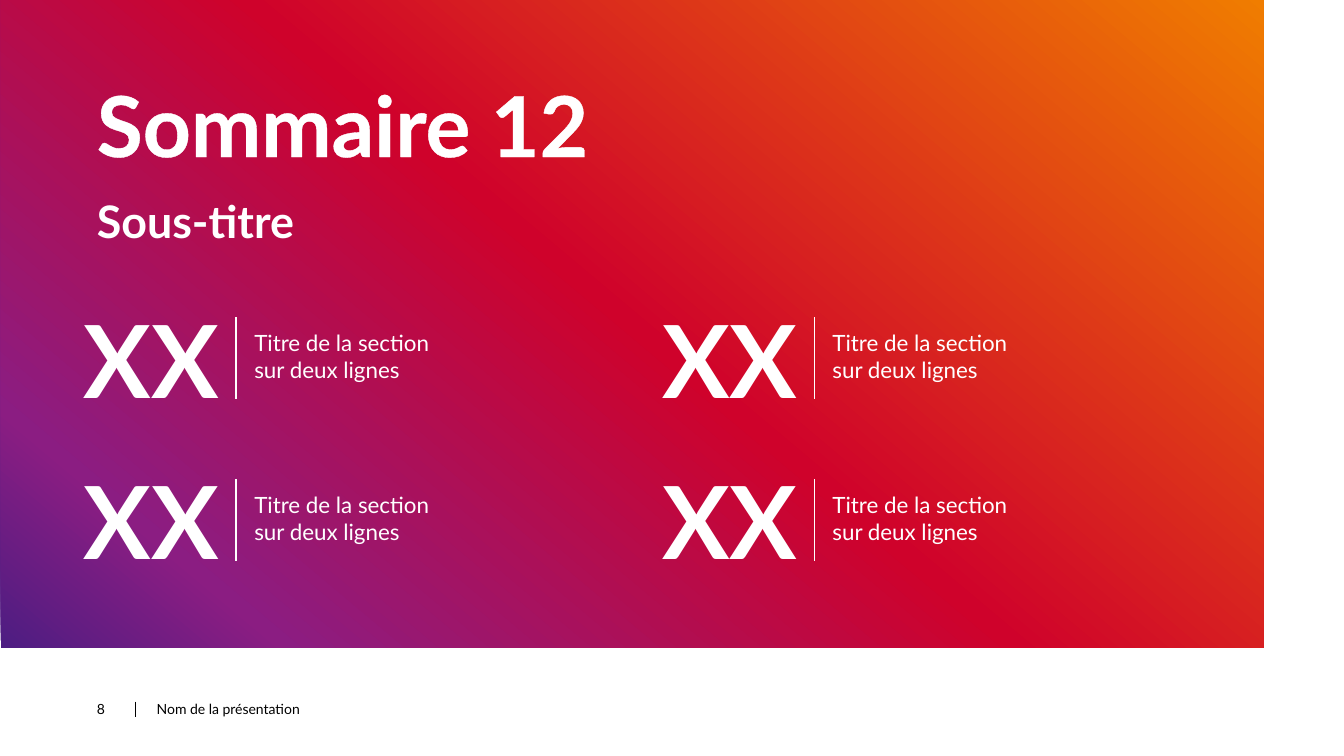
from lxml import etree
from pptx import Presentation
from pptx import util as u
from pptx.dml.color import RGBColor
from pptx.enum import shapes, text
from pptx.oxml.ns import qn

WHITE = RGBColor(0xFF, 0xFF, 0xFF)
BLACK = RGBColor(0x00, 0x00, 0x00)
INDIGO = RGBColor(0x4D, 0x1D, 0x82)
PURPLE = RGBColor(0x8B, 0x1D, 0x82)
RED = RGBColor(0xCF, 0x02, 0x2B)
ORANGE = RGBColor(0xF0, 0x7D, 0x00)


class AgendaSlide:
    font = "Lato"

    def __init__(self, slide):
        self.shapes = slide.shapes

    def gradient_panel(self, left, top, width, height, rotation, angle, stops):
        panel = self.shapes.add_shape(
            shapes.MSO_SHAPE.RECTANGLE,
            u.Cm(left), u.Cm(top), u.Cm(width), u.Cm(height))
        panel.rotation = rotation
        panel.shadow.inherit = False
        panel.line.fill.background()
        panel.fill.gradient()
        panel.fill.gradient_angle = angle
        stop_list = panel._element.spPr.find(".//" + qn("a:gsLst"))
        for old_stop in list(stop_list):
            stop_list.remove(old_stop)
        for percent, color in stops:
            stop = etree.SubElement(stop_list, qn("a:gs"), pos=str(percent * 1000))
            etree.SubElement(stop, qn("a:srgbClr"), val=str(color))

    def label(self, left, top, width, height, words, size, color=WHITE,
              bold=False, align=text.PP_ALIGN.LEFT, anchor=text.MSO_ANCHOR.TOP,
              after=0, spacing=None, outline=None):
        box = self.shapes.add_textbox(
            u.Cm(left), u.Cm(top), u.Cm(width), u.Cm(height))
        frame = box.text_frame
        frame.word_wrap = True
        frame.auto_size = text.MSO_AUTO_SIZE.SHAPE_TO_FIT_TEXT
        frame.vertical_anchor = anchor
        frame.margin_left = frame.margin_right = 0
        frame.margin_top = frame.margin_bottom = 0
        paragraph = frame.paragraphs[0]
        paragraph.text = words
        paragraph.alignment = align
        paragraph.space_after = u.Pt(after)
        paragraph.line_spacing = spacing
        for run in paragraph.runs:
            run.font.name = self.font
            run.font.size = u.Pt(size)
            run.font.bold = bold
            run.font.color.rgb = color
            if outline:
                stroke = etree.Element(qn("a:ln"), w=str(u.Pt(outline)))
                fill = etree.SubElement(stroke, qn("a:solidFill"))
                etree.SubElement(fill, qn("a:srgbClr"), val=str(color))
                run.font._element.insert(0, stroke)

    def divider(self, left, top, length, color, weight):
        rule = self.shapes.add_connector(
            shapes.MSO_CONNECTOR.STRAIGHT,
            u.Cm(left), u.Cm(top), u.Cm(left), u.Cm(top + length))
        rule.line.color.rgb = color
        rule.line.width = u.Pt(weight)
        etree.SubElement(rule._element.spPr, qn("a:effectLst"))

    def section(self, left, top, number, title):
        self.label(left, top, 3.56, 3.07, number, 72, bold=True,
                   align=text.PP_ALIGN.RIGHT, after=5)
        self.divider(left + 3.99, top + 0.5, 2.07, WHITE, 1)
        self.label(left + 4.45, top + 0.81, 7.47, 1.55, title, 16, after=5)


def main():
    deck = Presentation()
    deck.slide_width, deck.slide_height = u.Cm(33.87), u.Cm(19.05)
    agenda = AgendaSlide(deck.slides.add_slide(deck.slide_layouts[6]))

    # Background panel, turned a quarter so the colours rise to the right
    agenda.gradient_panel(
        7.75, -7.77, 16.36, 31.83, rotation=270, angle=320,
        stops=[(0, INDIGO), (14, PURPLE), (50, RED), (100, ORANGE)])

    # Headings
    margin = 2.44
    agenda.label(margin, 2.13, 29, 2.31, "Sommaire 12", 60, bold=True,
                 spacing=0.9, outline=0.75)
    agenda.label(margin, 4.88, 6.2, 1.37, "Sous-titre", 32, bold=True, after=5)

    # Sections, two columns by two rows
    for column in range(2):
        for row in range(2):
            agenda.section(1.96 + column * 14.57, 7.49 + row * 4.08,
                           "XX", "Titre de la section\nsur deux lignes")

    # Footer
    footer_top = 17.65
    footer = {"size": 10, "color": BLACK, "anchor": text.MSO_ANCHOR.MIDDLE}
    agenda.label(margin, footer_top, 0.9, 0.43, "8", **footer)
    agenda.divider(3.42, footer_top + 0.03, 0.38, BLACK, 0.5)
    agenda.label(3.95, footer_top, 9.7, 0.43, "Nom de la présentation", **footer)

    deck.save("out.pptx")


if __name__ == "__main__":
    main()
